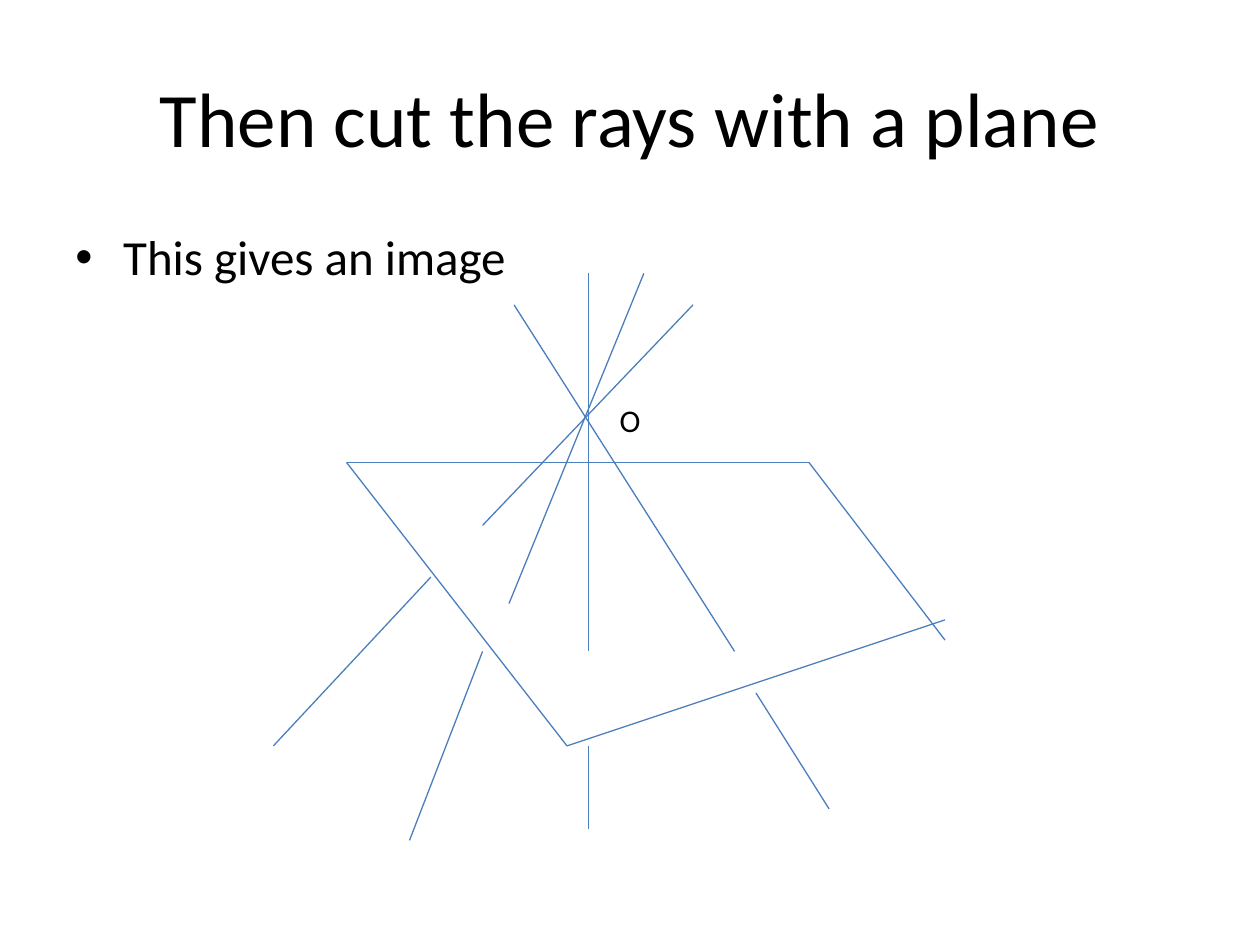
"""Build a slide showing rays through a point O cut by a plane."""
from lxml import etree
from pptx import Presentation
from pptx.dml.color import RGBColor
from pptx.enum import shapes, text
from pptx.oxml import ns
from pptx.util import Inches, Pt

BLACK = RGBColor(0x00, 0x00, 0x00)
BLUE = RGBColor(0x4B, 0x7E, 0xBC)


def write(sp, content, size, box, align=text.PP_ALIGN.LEFT,
          anchor=text.MSO_ANCHOR.TOP, wrap=True, bullet=None):
    """Place a text shape and fill it with one formatted paragraph."""
    sp.left, sp.top, sp.width, sp.height = [Inches(v) for v in box]
    tf = sp.text_frame
    tf.word_wrap = wrap
    tf.auto_size = text.MSO_AUTO_SIZE.NONE if wrap else text.MSO_AUTO_SIZE.SHAPE_TO_FIT_TEXT
    tf.vertical_anchor = anchor
    p = tf.paragraphs[0]
    p.alignment = align
    if bullet:
        pPr = p._p.get_or_add_pPr()
        pPr.set("marL", str(Inches(0.38)))
        pPr.set("indent", str(Inches(-0.38)))
        etree.SubElement(pPr, ns.qn("a:buFont")).set("typeface", "Arial")
        etree.SubElement(pPr, ns.qn("a:buChar")).set("char", bullet)
    r = p.add_run()
    r.text = content
    r.font.name = "Calibri"
    r.font.size = Pt(size)
    r.font.color.rgb = BLACK


prs = Presentation()
prs.slide_width, prs.slide_height = Inches(10), Inches(7.5)
s = prs.slides.add_slide(prs.slide_layouts[5])

write(s.shapes.title, "Then cut the rays with a plane", 44, (0.5, 0.3, 9, 1.25),
      align=text.PP_ALIGN.CENTER, anchor=text.MSO_ANCHOR.MIDDLE)
write(s.shapes.add_textbox(0, 0, 0, 0), "This gives an image", 28,
      (0.5, 1.75, 9, 4.95), bullet="•")
write(s.shapes.add_textbox(0, 0, 0, 0), "O", 18, (4.82, 3.13, 0.29, 0.4), wrap=False)

plane = [
    (2.75, 3.67, 4.5, 5.92),
    (4.5, 5.92, 7.5, 4.92),
    (2.75, 3.67, 6.42, 3.67),
    (6.42, 3.67, 7.5, 5.08),
]
rays_above = [
    (4.08, 2.42, 5.83, 5.17),
    (4.67, 2.17, 4.67, 5.17),
    (5.11, 2.17, 4.04, 4.79),
    (5.5, 2.42, 3.83, 4.17),
]
rays_below = [
    (6, 5.5, 6.58, 6.42),
    (4.67, 5.92, 4.67, 6.58),
    (3.83, 5.17, 3.25, 6.67),
    (3.42, 4.58, 2.17, 5.92),
]
for ends in plane + rays_above + rays_below:
    line = s.shapes.add_connector(shapes.MSO_CONNECTOR.STRAIGHT, *[Inches(v) for v in ends])
    line.line.color.rgb = BLUE
    line.line.width = Pt(0.75)
    etree.SubElement(line._element.spPr, ns.qn("a:effectLst"))

prs.save("out.pptx")
